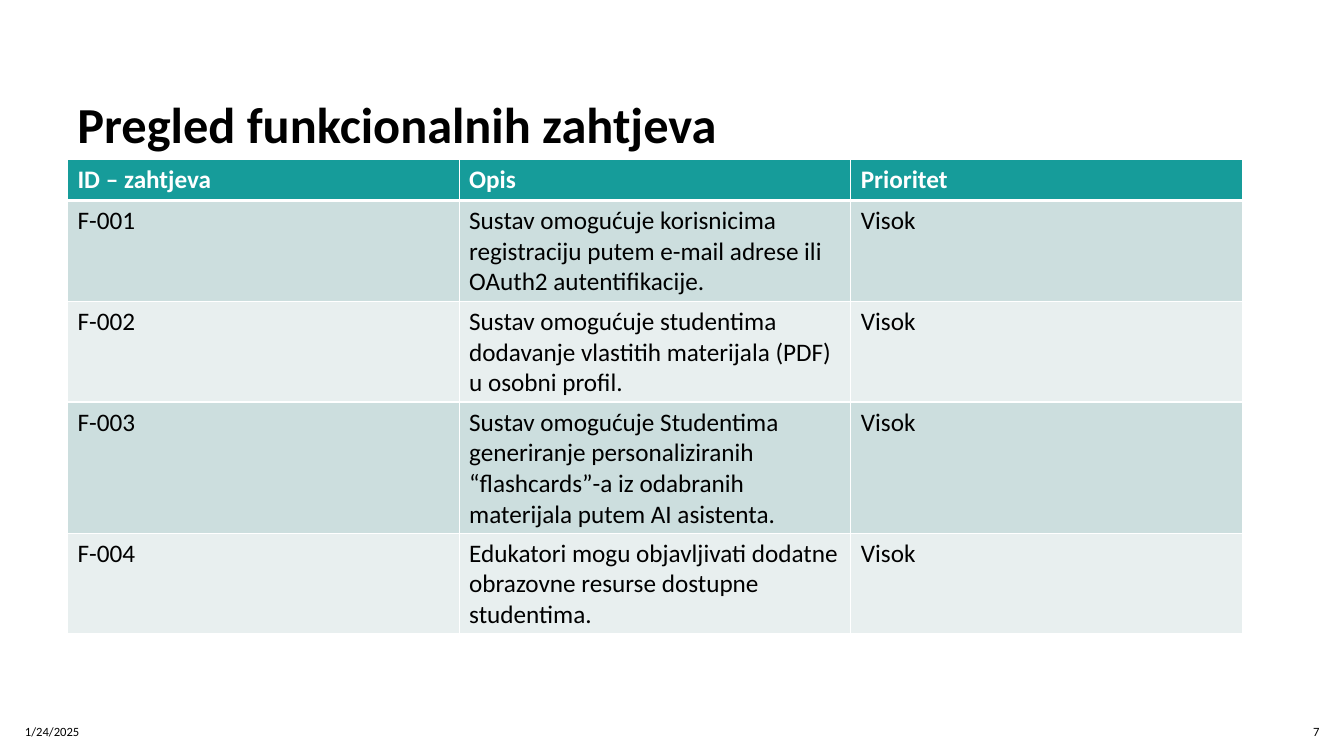
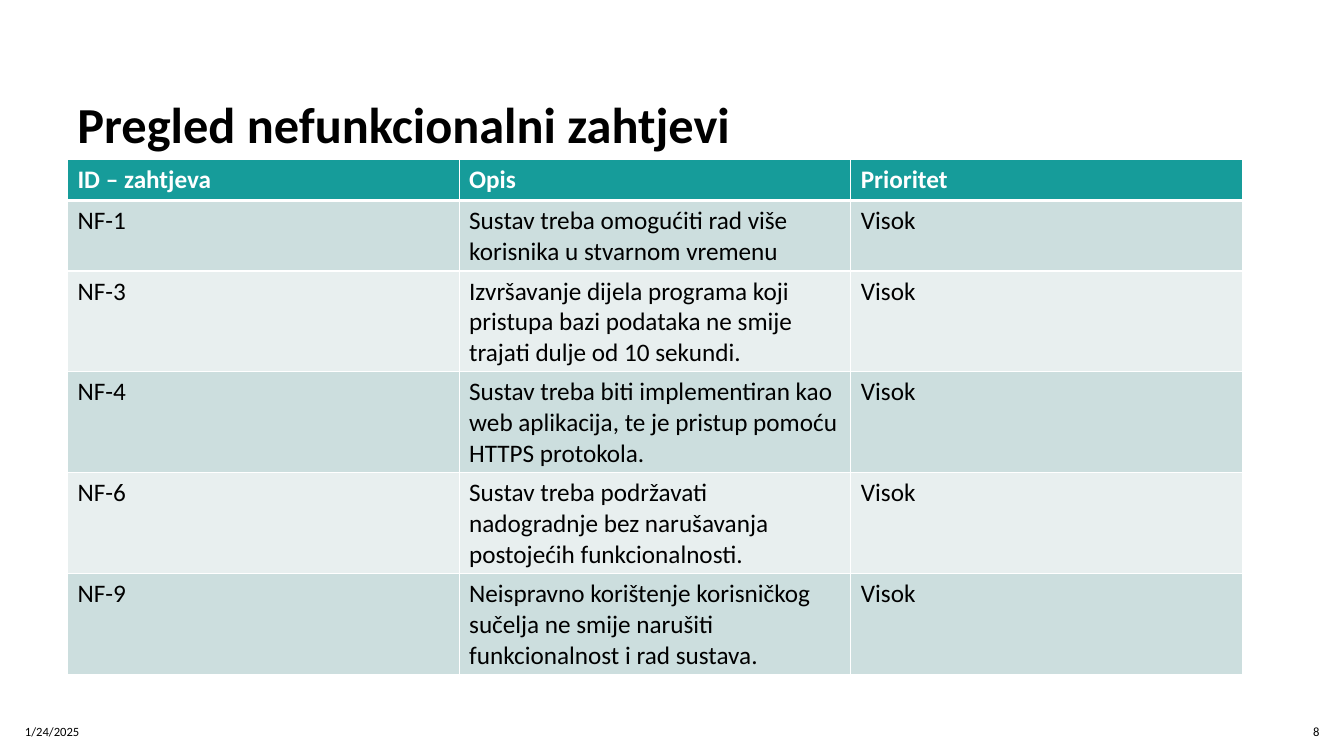
"""Build two slides that list functional and non-functional requirements."""
from dataclasses import dataclass

from lxml.etree import SubElement
from pptx import Presentation
from pptx.dml.color import RGBColor
from pptx.enum.text import MSO_ANCHOR, PP_ALIGN
from pptx.oxml.ns import qn
from pptx.slide import Slide
from pptx.table import _Cell
from pptx.text.text import TextFrame
from pptx.util import Cm, Pt

FONT = "Calibri"
BLACK = "000000"
WHITE = "FFFFFF"
HEADER_FILL = "169C9A"
BAND_FILLS = ("CCDEDE", "E8EFEF")
HEADINGS = ("ID – zahtjeva", "Opis", "Prioritet")
PRIORITY = "Visok"
DATE = "1/24/2025"
FIRST_NUMBER = 7
LEFT = 1.7
TABLE_TOP = 4.02
COLUMN_WIDTH = 9.87
ROW_HEIGHT = 1.03
FOOTER_TOP = 17.92
FOOTER_HEIGHT = 1.03
THIN, THICK = 1, 3


@dataclass(frozen=True)
class Requirement:
    """One requirement with its identifier and description."""

    identifier: str
    description: str


@dataclass(frozen=True)
class RequirementPage:
    """One slide with a title and its requirements."""

    title: str
    requirements: tuple[Requirement, ...]


PAGES = (
    RequirementPage("Pregled funkcionalnih zahtjeva", (
        Requirement("F-001", "Sustav omogućuje korisnicima registraciju putem "
                    "e-mail adrese ili OAuth2 autentifikacije."),
        Requirement("F-002", "Sustav omogućuje studentima dodavanje vlastitih "
                    "materijala (PDF) u osobni profil."),
        Requirement("F-003", "Sustav omogućuje Studentima generiranje "
                    "personaliziranih “flashcards”-a iz odabranih materijala "
                    "putem AI asistenta."),
        Requirement("F-004", "Edukatori mogu objavljivati dodatne obrazovne "
                    "resurse dostupne studentima."),
    )),
    RequirementPage("Pregled nefunkcionalni zahtjevi", (
        Requirement("NF-1", "Sustav treba omogućiti rad više korisnika u "
                    "stvarnom vremenu"),
        Requirement("NF-3", "Izvršavanje dijela programa koji pristupa bazi "
                    "podataka ne smije trajati dulje od 10 sekundi."),
        Requirement("NF-4", "Sustav treba biti implementiran kao web "
                    "aplikacija, te je pristup pomoću HTTPS protokola."),
        Requirement("NF-6", "Sustav treba podržavati nadogradnje bez "
                    "narušavanja postojećih funkcionalnosti."),
        Requirement("NF-9", "Neispravno korištenje korisničkog sučelja ne "
                    "smije narušiti funkcionalnost i rad sustava."),
    )),
)


def color(value: str) -> RGBColor:
    """Turn a hex string into a colour."""
    return RGBColor.from_string(value)


def write(frame: TextFrame, text: str, *, size: float, ink: str = BLACK,
          bold: bool = False, align: PP_ALIGN = PP_ALIGN.LEFT,
          line_spacing: float = 1.0) -> None:
    """Write formatted text into a text frame."""
    paragraph = frame.paragraphs[0]
    paragraph.alignment = align
    paragraph.line_spacing = line_spacing
    run = paragraph.add_run()
    run.text = text
    run.font.name = FONT
    run.font.size = Pt(size)
    run.font.bold = bold
    run.font.color.rgb = color(ink)


def add_text_box(slide: Slide, left: float, top: float, width: float,
                 height: float, anchor: MSO_ANCHOR) -> TextFrame:
    """Add a wrapping text box measured in centimetres."""
    shape = slide.shapes.add_textbox(Cm(left), Cm(top), Cm(width), Cm(height))
    frame = shape.text_frame
    frame.word_wrap = True
    frame.vertical_anchor = anchor
    return frame


def set_borders(cell: _Cell, top: int, bottom: int) -> None:
    """Give a cell white borders with the given top and bottom widths."""
    properties = cell._tc.get_or_add_tcPr()
    widths = {"a:lnL": THIN, "a:lnR": THIN, "a:lnT": top, "a:lnB": bottom}
    for tag, width in widths.items():
        line = SubElement(properties, qn(tag), w=str(Pt(width)))
        fill = SubElement(line, qn("a:solidFill"))
        SubElement(fill, qn("a:srgbClr"), val=WHITE)


def add_requirement_table(slide: Slide,
                          requirements: tuple[Requirement, ...]) -> None:
    """Add the banded table of requirements."""
    rows = [HEADINGS] + [(requirement.identifier, requirement.description,
                          PRIORITY) for requirement in requirements]
    table = slide.shapes.add_table(
        len(rows), len(HEADINGS), Cm(LEFT), Cm(TABLE_TOP),
        Cm(COLUMN_WIDTH * len(HEADINGS)), Cm(ROW_HEIGHT * len(rows))).table
    for row_index, texts in enumerate(rows):
        header = row_index == 0
        fill = HEADER_FILL if header else BAND_FILLS[(row_index - 1) % 2]
        for column_index, text in enumerate(texts):
            cell = table.cell(row_index, column_index)
            set_borders(cell, top=THICK if row_index == 1 else THIN,
                        bottom=THICK if header else THIN)
            cell.fill.solid()
            cell.fill.fore_color.rgb = color(fill)
            write(cell.text_frame, text, size=18, bold=header,
                  ink=WHITE if header else BLACK)


def add_footer(slide: Slide, number: int) -> None:
    """Add the date and the slide number."""
    date = add_text_box(slide, 0.38, FOOTER_TOP, 9.7, FOOTER_HEIGHT,
                        MSO_ANCHOR.MIDDLE)
    write(date, DATE, size=9)
    page_number = add_text_box(slide, 32.3, FOOTER_TOP, 1.2, FOOTER_HEIGHT,
                               MSO_ANCHOR.MIDDLE)
    write(page_number, str(number), size=9, align=PP_ALIGN.RIGHT)


def main() -> None:
    """Build and save the presentation."""
    presentation = Presentation()
    presentation.slide_width = Cm(33.87)
    presentation.slide_height = Cm(19.05)
    for number, page in enumerate(PAGES, FIRST_NUMBER):
        slide = presentation.slides.add_slide(presentation.slide_layouts[6])
        title = add_text_box(slide, LEFT, 2.39, 29.6, 3.15, MSO_ANCHOR.TOP)
        write(title, page.title, size=36, bold=True, line_spacing=0.9)
        add_requirement_table(slide, page.requirements)
        add_footer(slide, number)
    presentation.save("out.pptx")


if __name__ == "__main__":
    main()
